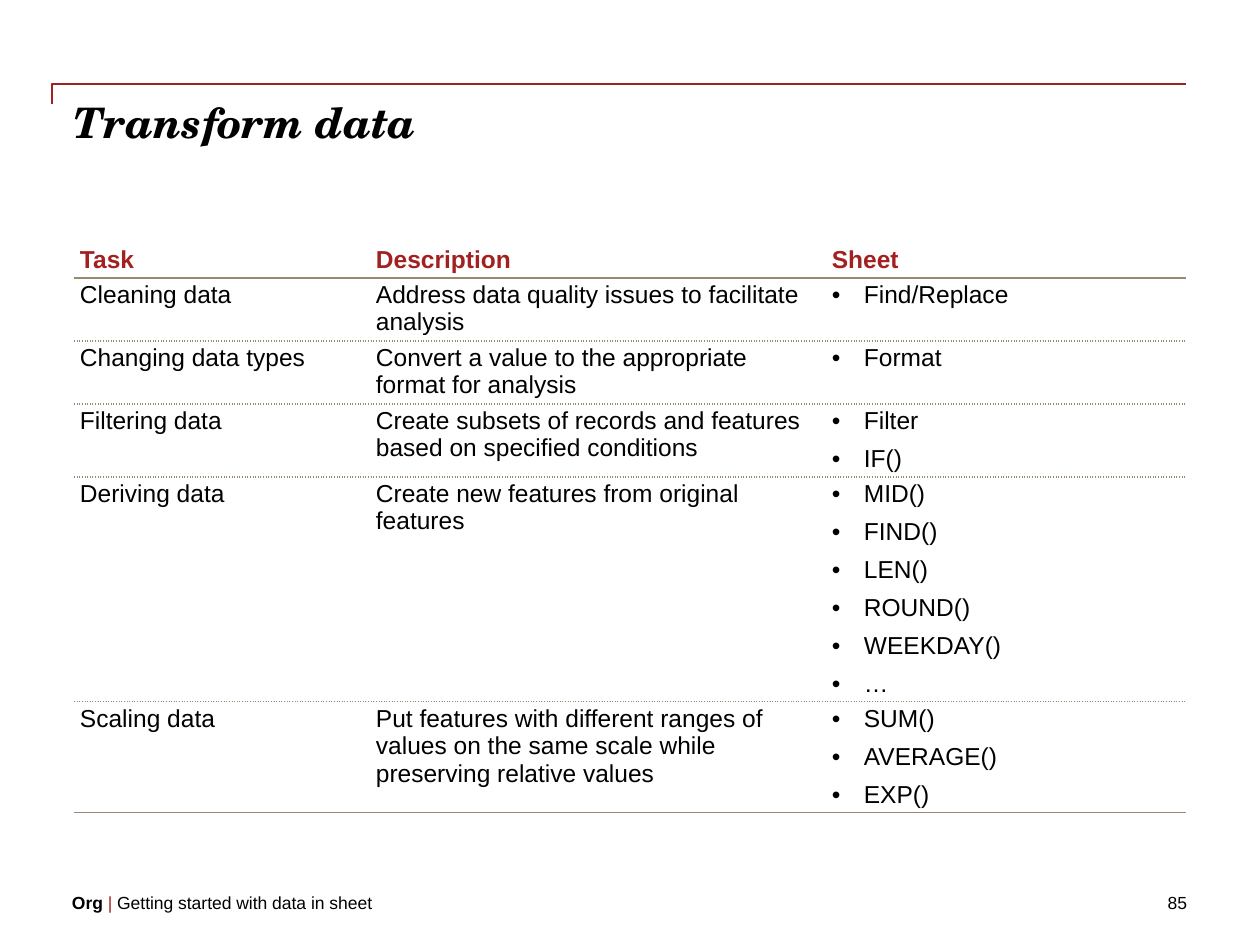
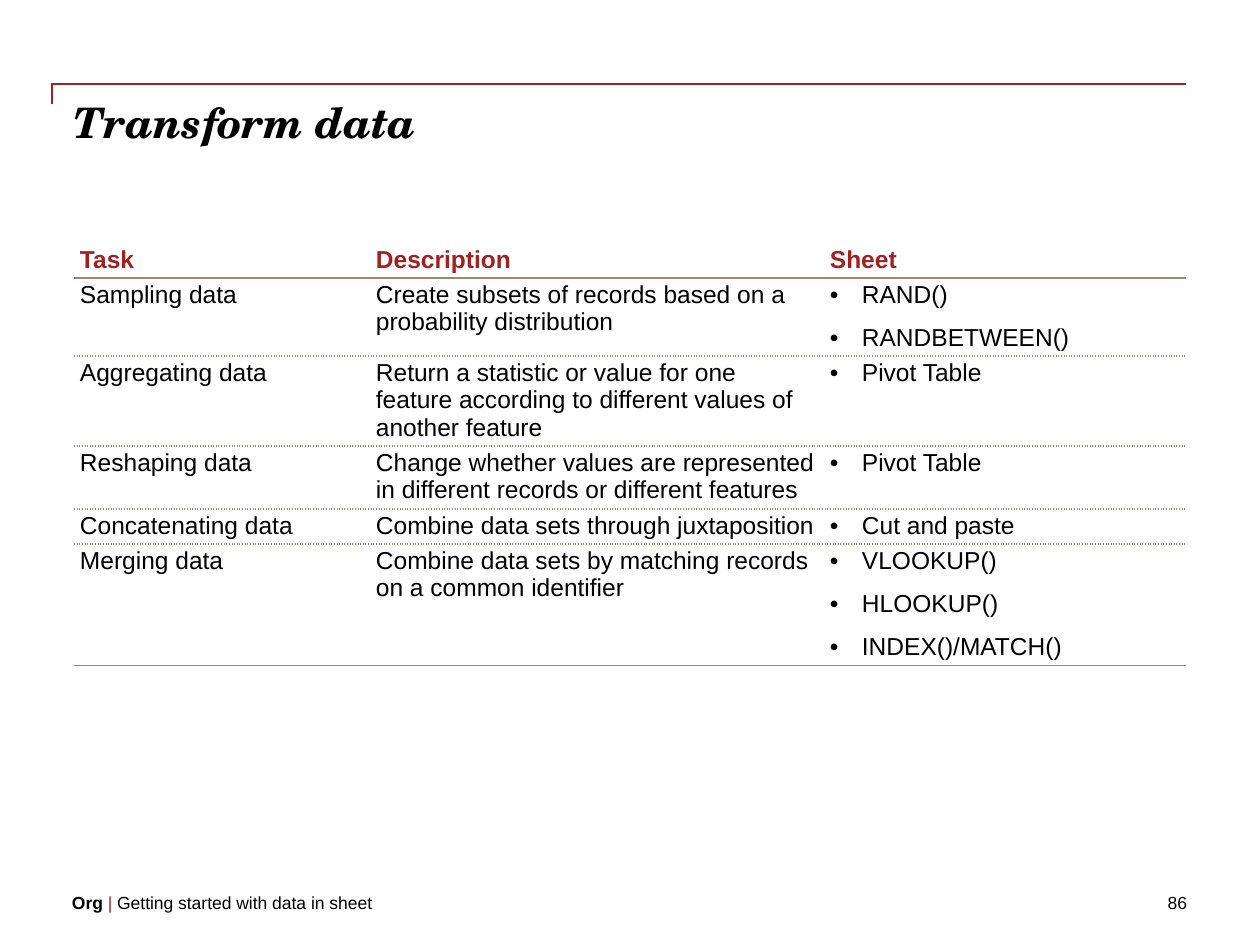
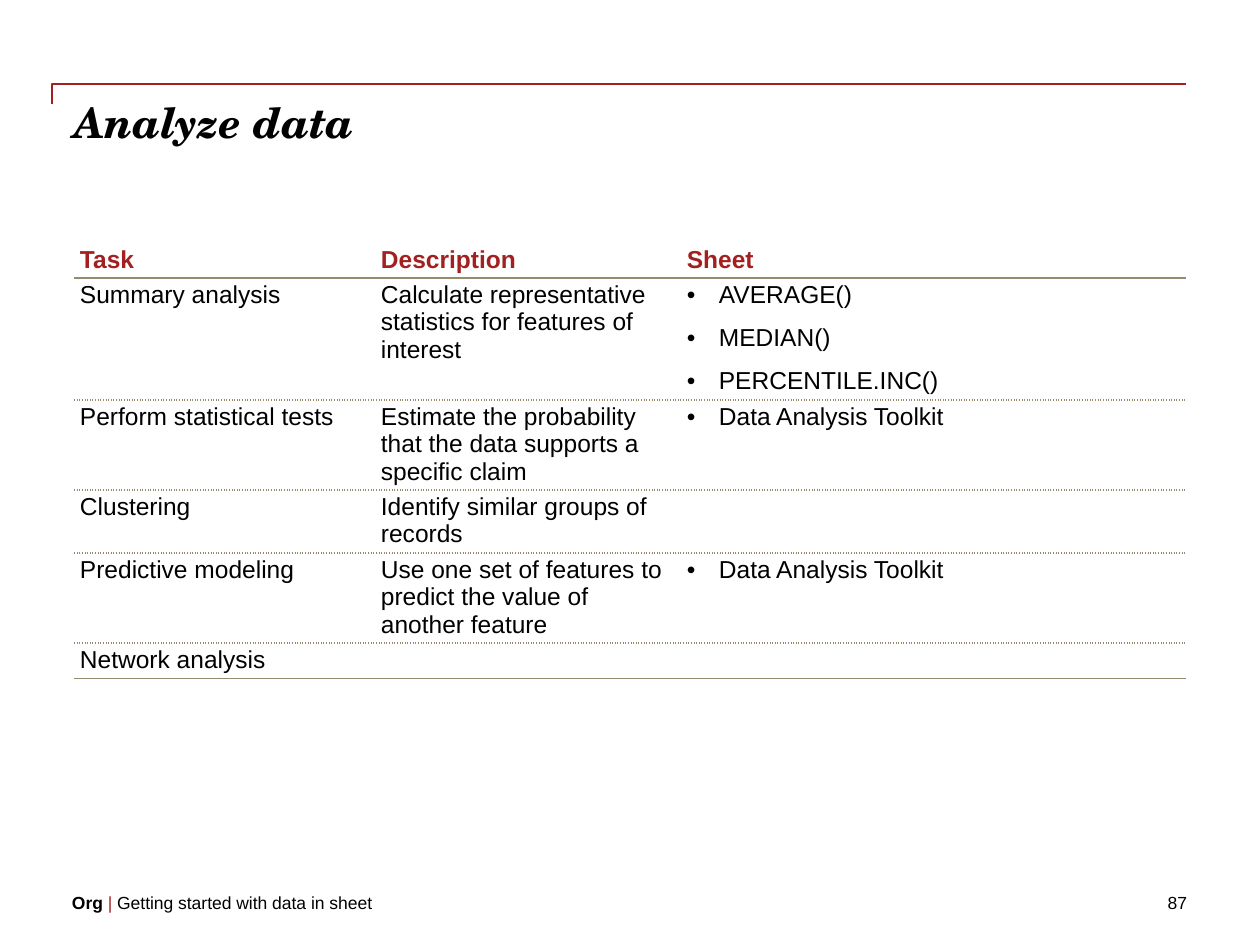
import dataclasses

import lxml.etree
import pptx
import pptx.dml.color
import pptx.enum.shapes
import pptx.enum.text
import pptx.oxml.ns
import pptx.util

qn = pptx.oxml.ns.qn
ALIGN = pptx.enum.text.PP_ALIGN


def px(n):
    return pptx.util.Emu(round(n * 914400 / 126))


def add(parent, tag, **attrs):
    return lxml.etree.SubElement(parent, qn(tag), attrs)


@dataclasses.dataclass(frozen=True)
class Theme:
    red: str = "A32020"
    black: str = "000000"
    white: str = "FFFFFF"
    rule: str = "968C6D"
    title_font: str = "TeX Gyre Schola"
    body_font: str = "Arial"
    title_size: int = 24
    table_size: int = 14
    footer_size: int = 10


class Deck:
    def __init__(self, theme):
        self.t = theme
        self.prs = pptx.Presentation()
        self.prs.slide_width = px(1260)
        self.prs.slide_height = px(945)
        self.s = None

    def slide(self, title, number):
        self.s = self.prs.slides.add_slide(self.prs.slide_layouts[5])
        self.corner_rule(52, 84, 1134, 20)
        self.title(title)
        self.footer(number)

    def run(self, p, text, size, color, font=None, bold=False, italic=False):
        r = p.add_run()
        r.text = text
        r.font.size = pptx.util.Pt(size)
        r.font.name = font or self.t.body_font
        r.font.bold = bold
        r.font.italic = italic
        r.font.color.rgb = pptx.dml.color.RGBColor.from_string(color)

    def frame(self, sp, align=ALIGN.LEFT):
        tf = sp.text_frame
        tf.word_wrap = True
        tf.auto_size = pptx.enum.text.MSO_AUTO_SIZE.NONE
        tf.vertical_anchor = pptx.enum.text.MSO_ANCHOR.TOP
        tf.margin_left = tf.margin_right = tf.margin_top = tf.margin_bottom = 0
        p = tf.paragraphs[0]
        p.alignment = align
        return p

    def corner_rule(self, x, y, w, h):
        cx, cy = x + w / 2, y + h / 2
        sp = self.s.shapes.add_connector(
            pptx.enum.shapes.MSO_CONNECTOR.ELBOW,
            px(cx + h / 2), px(cy + w / 2), px(cx - h / 2), px(cy - w / 2))
        sp.line.color.rgb = pptx.dml.color.RGBColor.from_string(self.t.red)
        sp.line.width = pptx.util.Pt(1)
        spPr = sp._element.spPr
        spPr.find(qn("a:xfrm")).set("rot", "5400000")
        spPr.find(qn("a:prstGeom")).set("prst", "bentConnector2")
        add(spPr, "a:effectLst")

    def title(self, text):
        sp = self.s.shapes.title
        sp.left, sp.top, sp.width, sp.height = px(73), px(96), px(1113), px(50)
        self.run(self.frame(sp), text, self.t.title_size, self.t.black,
                 self.t.title_font, bold=True, italic=True)

    def text_box(self, x, y, w, h, align=ALIGN.LEFT):
        sp = self.s.shapes.add_textbox(px(x), px(y), px(w), px(h))
        return self.frame(sp, align)

    def footer(self, number):
        size, black = self.t.footer_size, self.t.black
        p = self.text_box(72, 892, 904, 21)
        self.run(p, "Org ", size, black, bold=True)
        self.run(p, "| ", size, self.t.red)
        self.run(p, "Getting started with data in sheet", size, black)
        p = self.text_box(976, 892, 211, 21, ALIGN.RIGHT)
        self.run(p, str(number), size, black)

    def border(self, tcPr, side, dash=None):
        if dash is None:
            add(add(tcPr, side, w="0"), "a:noFill")
            return
        ln = add(tcPr, side, w=str(pptx.util.Pt(0.75)))
        add(add(ln, "a:solidFill"), "a:srgbClr", val=self.t.rule)
        add(ln, "a:prstDash", val=dash)

    def cell(self, cell, lines, gap, header, bulleted, top, bottom):
        cell.margin_left = cell.margin_right = px(6)
        cell.margin_top = cell.margin_bottom = px(3)
        tcPr = cell._tc.get_or_add_tcPr()
        for side, dash in (("a:lnL", None), ("a:lnR", None), ("a:lnT", top), ("a:lnB", bottom)):
            self.border(tcPr, side, dash)
        cell.fill.solid()
        cell.fill.fore_color.rgb = pptx.dml.color.RGBColor.from_string(self.t.white)
        tf = cell.text_frame
        size = self.t.table_size
        if not lines:
            add(tf.paragraphs[0]._p, "a:endParaRPr", sz=str(size * 100))
        for i, line in enumerate(lines):
            p = tf.add_paragraph() if i else tf.paragraphs[0]
            p.space_after = pptx.util.Pt(gap)
            if bulleted:
                pPr = p._p.get_or_add_pPr()
                pPr.set("marL", str(px(32)))
                pPr.set("indent", str(px(-32)))
                add(pPr, "a:buFont", typeface=self.t.body_font)
                add(pPr, "a:buChar", char="•")
            self.run(p, line, size, self.t.red if header else self.t.black, bold=header)

    def table(self, widths, heights, rows, gap):
        rows = [("Task", "Description", ["Sheet"])] + rows
        last = len(rows) - 1
        table = self.s.shapes.add_table(
            len(rows), len(widths), px(74), px(243), px(sum(widths)), px(sum(heights))).table
        table.first_row = table.horz_banding = False
        for column, w in zip(table.columns, widths):
            column.width = px(w)
        edges = [None, "solid"] + ["sysDot"] * (last - 1) + ["solid"]
        for i, (row, h) in enumerate(zip(rows, heights)):
            table.rows[i].height = px(h)
            for j, content in enumerate(row):
                lines = [content] if isinstance(content, str) else content
                self.cell(table.cell(i, j), lines, gap, i == 0,
                          i > 0 and j == 2, edges[i], edges[i + 1])


def main():
    deck = Deck(Theme())

    deck.slide("Transform data", 85)
    deck.table([296, 456, 360], [35, 63, 63, 73, 225, 111], [
        ("Cleaning data", "Address data quality issues to facilitate analysis",
         ["Find/Replace"]),
        ("Changing data types", "Convert a value to the appropriate format for analysis",
         ["Format"]),
        ("Filtering data",
         "Create subsets of records and features based on specified conditions",
         ["Filter", "IF()"]),
        ("Deriving data", "Create new features from original features",
         ["MID()", "FIND()", "LEN()", "ROUND()", "WEEKDAY()", "…"]),
        ("Scaling data",
         "Put features with different ranges of values on the same scale "
         "while preserving relative values",
         ["SUM()", "AVERAGE()", "EXP()"]),
    ], gap=6)

    deck.slide("Transform data", 86)
    deck.table([296, 454, 362], [35, 78, 90, 63, 35, 122], [
        ("Sampling data", "Create subsets of records based on a probability distribution",
         ["RAND()", "RANDBETWEEN()"]),
        ("Aggregating data",
         "Return a statistic or value for one feature according to "
         "different values of another feature",
         ["Pivot Table"]),
        ("Reshaping data",
         "Change whether values are represented in different records or different features",
         ["Pivot Table"]),
        ("Concatenating data", "Combine data sets through juxtaposition",
         ["Cut and paste"]),
        ("Merging data", "Combine data sets by matching records on a common identifier",
         ["VLOOKUP()", "HLOOKUP()", "INDEX()/MATCH()"]),
    ], gap=9)

    deck.slide("Analyze data", 87)
    deck.table([301, 306, 505], [35, 122, 90, 63, 90, 35], [
        ("Summary analysis", "Calculate representative statistics for features of interest",
         ["AVERAGE()", "MEDIAN()", "PERCENTILE.INC()"]),
        ("Perform statistical tests",
         "Estimate the probability that the data supports a specific claim",
         ["Data Analysis Toolkit"]),
        ("Clustering", "Identify similar groups of records", []),
        ("Predictive modeling",
         "Use one set of features to predict the value of another feature",
         ["Data Analysis Toolkit"]),
        ("Network analysis", [], []),
    ], gap=9)

    deck.prs.save("out.pptx")


if __name__ == "__main__":
    main()
